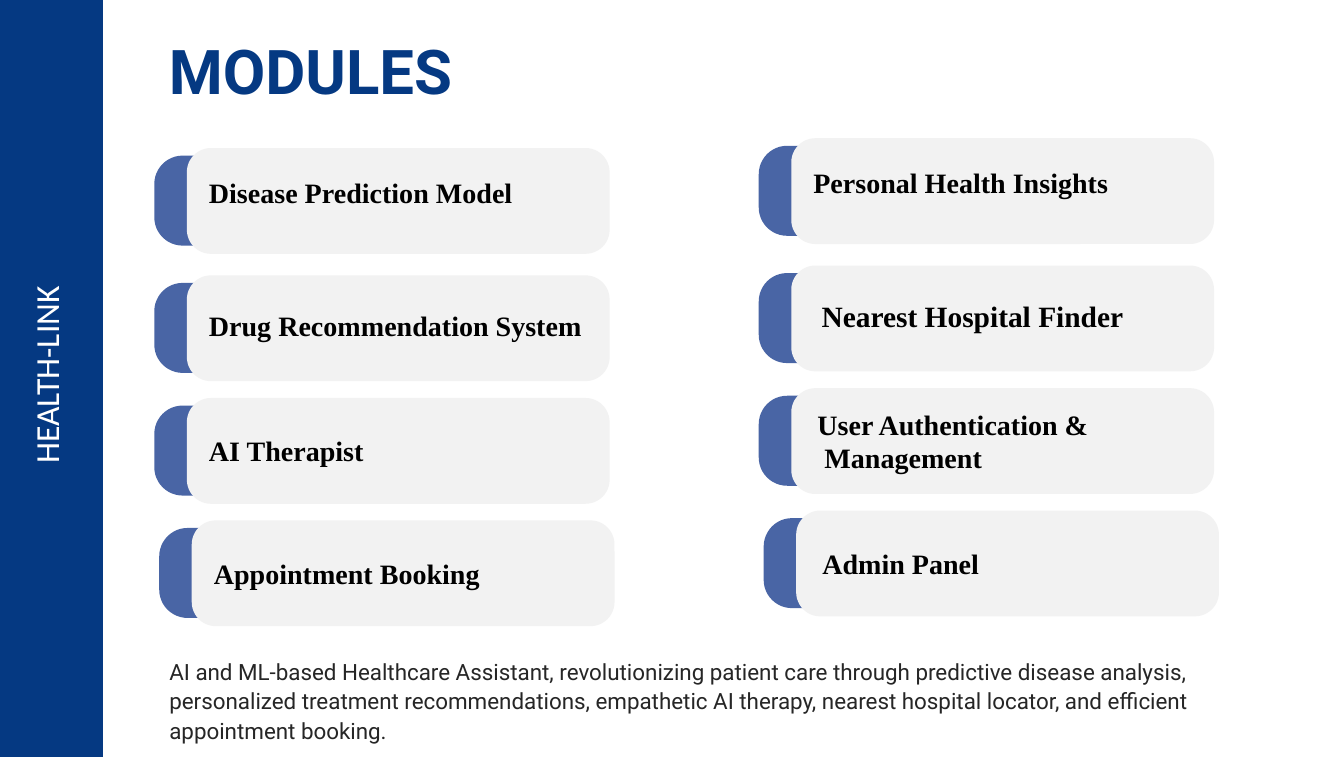
from pptx import Presentation
from pptx.dml.color import RGBColor
from pptx.enum.shapes import MSO_SHAPE
from pptx.enum.text import MSO_ANCHOR, PP_ALIGN
from pptx.util import Pt

RECT, ROUND = MSO_SHAPE.RECTANGLE, MSO_SHAPE.ROUNDED_RECTANGLE
TOP, MIDDLE = MSO_ANCHOR.TOP, MSO_ANCHOR.MIDDLE
LEFT, CENTER = PP_ALIGN.LEFT, PP_ALIGN.CENTER
NAVY, BLUE, GREY = "053982", "4965A5", "F2F2F2"

prs = Presentation()
prs.slide_width, prs.slide_height = Pt(959), Pt(540)
s = prs.slides.add_slide(prs.slide_layouts[6])


def add_box(kind, x, y, w, h, color, radius=None):
    sp = s.shapes.add_shape(kind, Pt(x), Pt(y), Pt(w), Pt(h))
    sp.shadow.inherit = False
    sp.fill.solid()
    sp.fill.fore_color.rgb = RGBColor.from_string(color)
    sp.line.fill.background()
    if radius is not None:
        sp.adjustments[0] = radius


def add_text(text, x, y, w, h, size, font="Roboto", color="000000", bold=False,
             align=LEFT, anchor=TOP, inset=0, spacing=None, hanging=0):
    sp = s.shapes.add_textbox(Pt(x), Pt(y), Pt(w), Pt(h))
    tf = sp.text_frame
    tf.word_wrap = True
    tf.vertical_anchor = anchor
    tf.margin_left = tf.margin_right = tf.margin_top = tf.margin_bottom = Pt(inset)
    for i, line in enumerate(text.split("\n")):
        p = tf.add_paragraph() if i else tf.paragraphs[0]
        p.alignment = align
        if spacing:
            p.line_spacing = spacing
        if i and hanging:
            p._p.get_or_add_pPr().set("marL", str(Pt(hanging)))
        r = p.add_run()
        r.text = line
        r.font.size, r.font.name, r.font.bold = Pt(size), font, bold
        r.font.color.rgb = RGBColor.from_string(color)
    return sp


# Side band with the rotated project name
add_box(RECT, 0, 0, 73.5, 540, NAVY)
label = add_text("HEALTH-LINK", -207.4, 252, 475.2, 31, 24, font="Calibri",
                 color="FFFFFF", align=CENTER, inset=3.6)
label.rotation = 270

# Title
add_text("MODULES", 120.5, 21.6, 791, 56, 44, color=NAVY, bold=True, anchor=MIDDLE)

# Module cards: (text, size, text indent) per column
columns = [
    (133.3, 0, [("Disease Prediction Model", 20, 15.8),
                ("Drug Recommendation System", 20, 15.8),
                ("AI Therapist", 20, 15.8),
                ("Appointment Booking", 20, 15.8)]),
    (564.6, -7, [("Personal Health Insights", 20, 15.8),
                 ("Nearest Hospital Finder", 21, 21.6),
                 ("User Authentication &\nManagement", 20, 18.7),
                 ("Admin Panel", 20, 18.7)]),
]
# Card top, sideways shift and text centre below the card top, per row
rows = [(105.6, 0, 31.3), (196.4, 0, 35.8), (283.9, 0, 37.6), (371.2, 3.5, 37.6)]
TEXT_H = 49

for card_x, dy, modules in columns:
    for (top, dx, mid), (name, size, indent) in zip(rows, modules):
        x, y = card_x + dx, top + dy
        add_box(ROUND, x - 23.2, y + 5.4, 322.5, 64.2, BLUE, 0.315)
        add_box(ROUND, x, y, 301.7, 75.5, GREY, 0.228)
        add_text(name, x + indent, y + mid - TEXT_H / 2, 368, TEXT_H, size,
                 font="Times New Roman", bold=True, anchor=MIDDLE, hanging=5)

# Summary
add_text("AI and ML-based Healthcare Assistant, revolutionizing patient care through "
         "predictive disease analysis, personalized treatment recommendations, "
         "empathetic AI therapy, nearest hospital locator, and efficient "
         "appointment booking.",
         120.8, 467.3, 791, 60.5, 16, color="262626", spacing=1.1)

prs.save("out.pptx")
